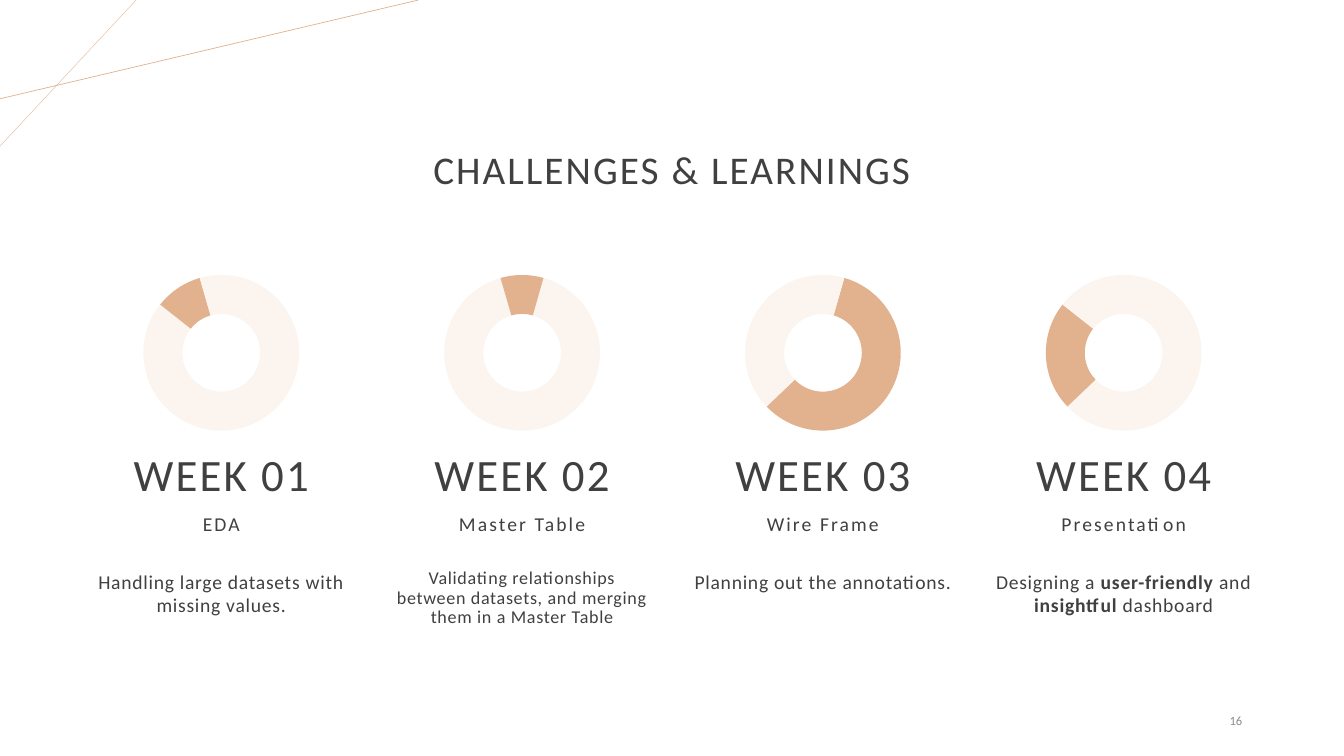
from dataclasses import dataclass

from lxml import etree
from pptx import Presentation
from pptx.chart.data import CategoryChartData
from pptx.dml.color import RGBColor
from pptx.enum.chart import XL_CHART_TYPE
from pptx.enum.shapes import MSO_CONNECTOR
from pptx.enum.text import MSO_ANCHOR, PP_ALIGN
from pptx.oxml.ns import qn
from pptx.util import Inches, Pt

DOUGHNUT = XL_CHART_TYPE.DOUGHNUT
STRAIGHT = MSO_CONNECTOR.STRAIGHT
TOP, MIDDLE, BOTTOM = MSO_ANCHOR.TOP, MSO_ANCHOR.MIDDLE, MSO_ANCHOR.BOTTOM
CENTER, RIGHT = PP_ALIGN.CENTER, PP_ALIGN.RIGHT


@dataclass(frozen=True)
class Theme:
    font: str = "Calibri"
    ink: RGBColor = RGBColor.from_string("404040")
    muted: RGBColor = RGBColor.from_string("8C8C8C")
    accent: RGBColor = RGBColor.from_string("E2B18D")
    pale: RGBColor = RGBColor.from_string("FBF4EF")
    title: float = 28
    week: float = 32
    body: float = 14
    compact: float = 12.9
    chart: float = 10
    number: float = 9
    wide: float = 1.5
    narrow: float = 0.5


THEME = Theme()

SHARES = (59, 23, 10, 9)
WEEKS = [
    ("WEEK 01", "EDA", 2, THEME.body, 1.0,
     [("Handling large datasets with missing values.", False)]),
    ("WEEK 02", "Master Table", 3, THEME.compact, 0.9,
     [("Validating relationships between datasets, and merging them in a Master Table", False)]),
    ("WEEK 03", "Wire Frame", 0, THEME.body, 1.0,
     [("Planning out the annotations.", False)]),
    ("WEEK 04", "Presentation", 1, THEME.body, 1.0,
     [("Designing a ", False), ("user-friendly", True), (" and ", False),
      ("insightful", True), (" dashboard", False)]),
]
WEEK_LEFT, WEEK_TOP, WEEK_WIDTH = 0.92, 2.59, 2.55
WEEK_PITCH = (9.87 - WEEK_LEFT) / 3


def add_text(slide, box, runs, size, color=THEME.ink, align=CENTER, anchor=MIDDLE,
             tracking=0, line_spacing=1.0, before=0, side_inset=0.1):
    frame = slide.shapes.add_textbox(*map(Inches, box)).text_frame
    frame.word_wrap = True
    frame.vertical_anchor = anchor
    frame.margin_left = frame.margin_right = Inches(side_inset)
    paragraph = frame.paragraphs[0]
    paragraph.alignment = align
    paragraph.line_spacing = line_spacing
    paragraph.space_before = Pt(before)
    for words, bold in runs:
        run = paragraph.add_run()
        run.text = words
        run.font.name = THEME.font
        run.font.size = Pt(size)
        run.font.bold = bold
        run.font.color.rgb = color
        if tracking:
            run.font._element.set("spc", str(int(tracking * 100)))


def add_corner_lines(slide, left, top):
    for across, down, weight in ((1.35, 1.45, 0.25), (4.15, 0.98, 0.5)):
        ray = slide.shapes.add_connector(
            STRAIGHT, Inches(left + across), Inches(top), Inches(left), Inches(top + down))
        ray.line.color.rgb = THEME.accent
        ray.line.width = Pt(weight)
        etree.SubElement(ray._element.spPr, qn("a:effectLst"))


def add_ring(slide, box, highlighted):
    shares = CategoryChartData()
    shares.categories = [str(n + 1) for n in range(len(SHARES))]
    shares.add_series("Series 1", SHARES)
    ring = slide.shapes.add_chart(DOUGHNUT, *map(Inches, box), shares).chart
    ring.has_legend = False
    ring.has_title = False
    ring.font.name = THEME.font
    ring.font.size = Pt(THEME.chart)
    plot = ring.plots[0]
    plot.vary_by_categories = True
    for tag, value in (("c:firstSliceAng", 16), ("c:holeSize", 80)):
        plot._element.find(qn(tag)).set("val", str(value))
    for index in range(len(SHARES)):
        slice_format = plot.series[0].points[index].format
        slice_format.fill.solid()
        slice_format.fill.fore_color.rgb = THEME.accent if index == highlighted else THEME.pale
        slice_format.line.fill.background()


def add_week(slide, left, top, width, week):
    heading, topic, highlighted, size, line_spacing, lesson = week
    add_ring(slide, (left + 0.26, top, 2.03, 1.82), highlighted)
    for words, offset, height, type_size in (
            (heading, 1.55, 0.88, THEME.week), (topic, 2.29, 0.48, THEME.body)):
        add_text(slide, (left, top + offset, width, height), [(words, False)], type_size,
                 anchor=BOTTOM, tracking=THEME.wide, line_spacing=0.9, before=10, side_inset=0)
    add_text(slide, (left, top + 3.01, width, 0.93), lesson, size, anchor=TOP,
             tracking=THEME.narrow, line_spacing=line_spacing, before=10, side_inset=0)


def main():
    deck = Presentation()
    deck.slide_width, deck.slide_height = Inches(13.33), Inches(7.5)
    slide = deck.slides.add_slide(deck.slide_layouts[6])
    add_corner_lines(slide, 0, 0)
    add_text(slide, (2.06, 0.98, 9.21, 1.45), [("CHALLENGES & LEARNINGS", False)],
             THEME.title, tracking=THEME.wide, line_spacing=0.9)
    for column, week in enumerate(WEEKS):
        add_week(slide, WEEK_LEFT + column * WEEK_PITCH, WEEK_TOP, WEEK_WIDTH, week)
    add_text(slide, (9.42, 6.95, 3, 0.4), [("16", False)], THEME.number, THEME.muted, RIGHT)
    deck.save("out.pptx")


if __name__ == "__main__":
    main()
